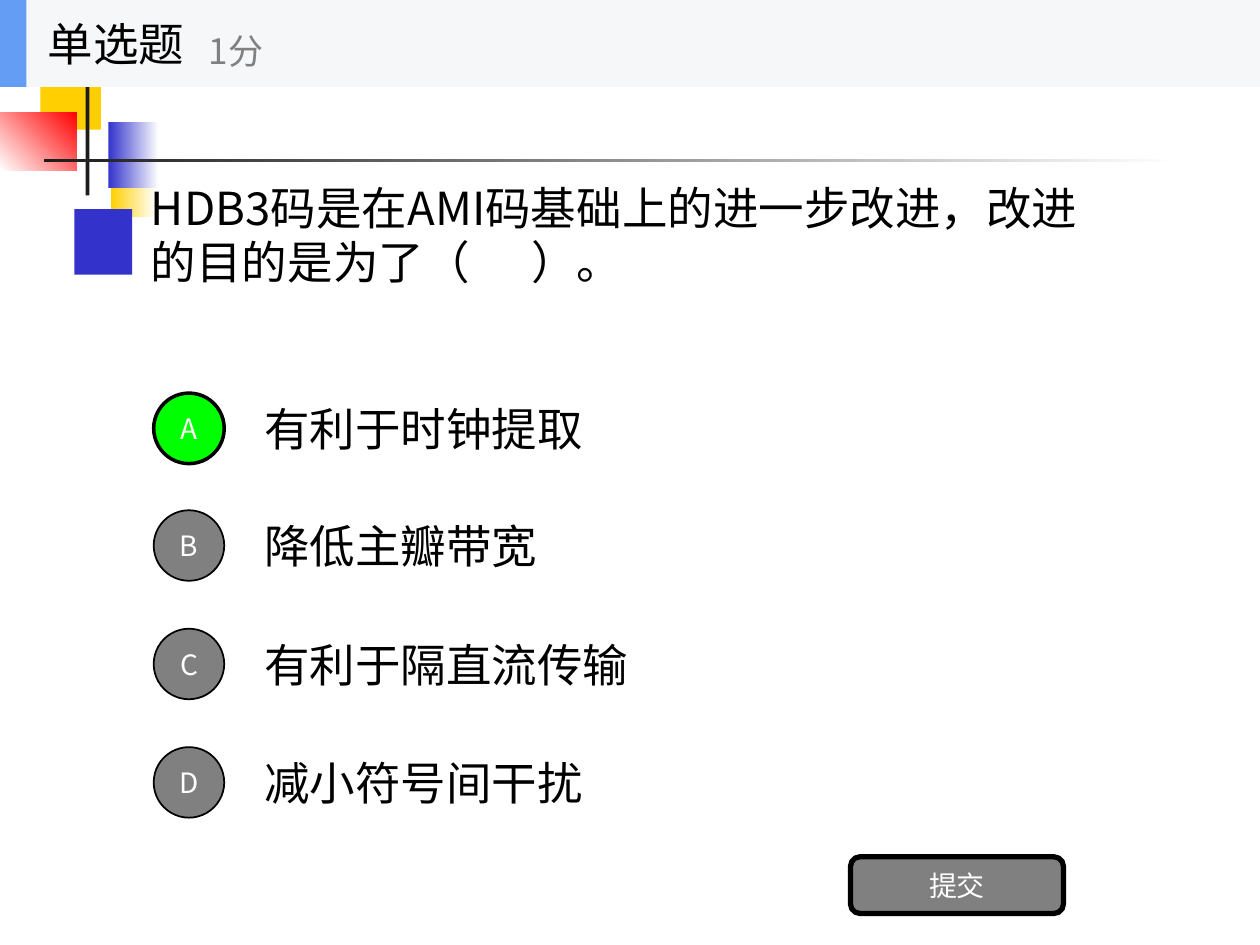
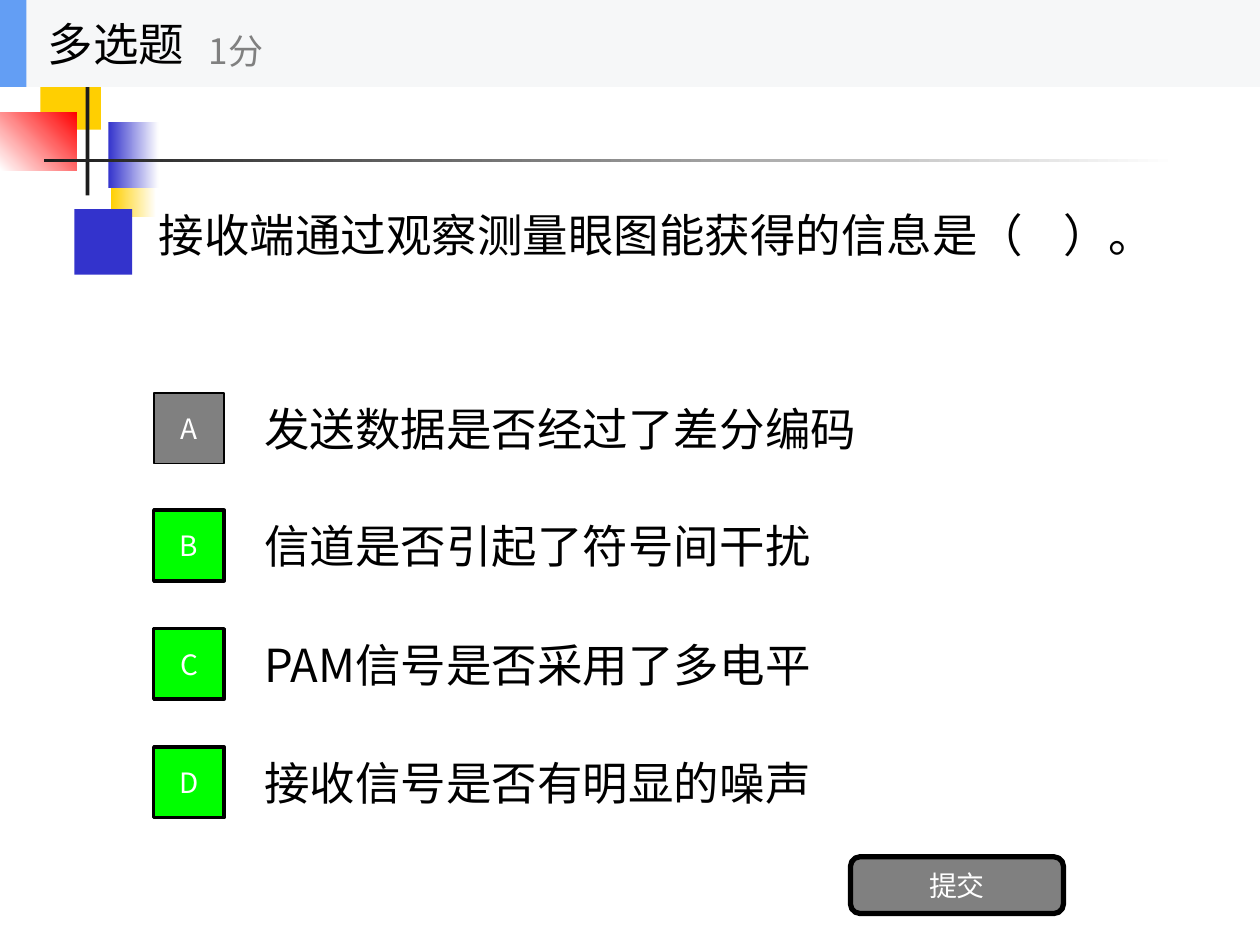
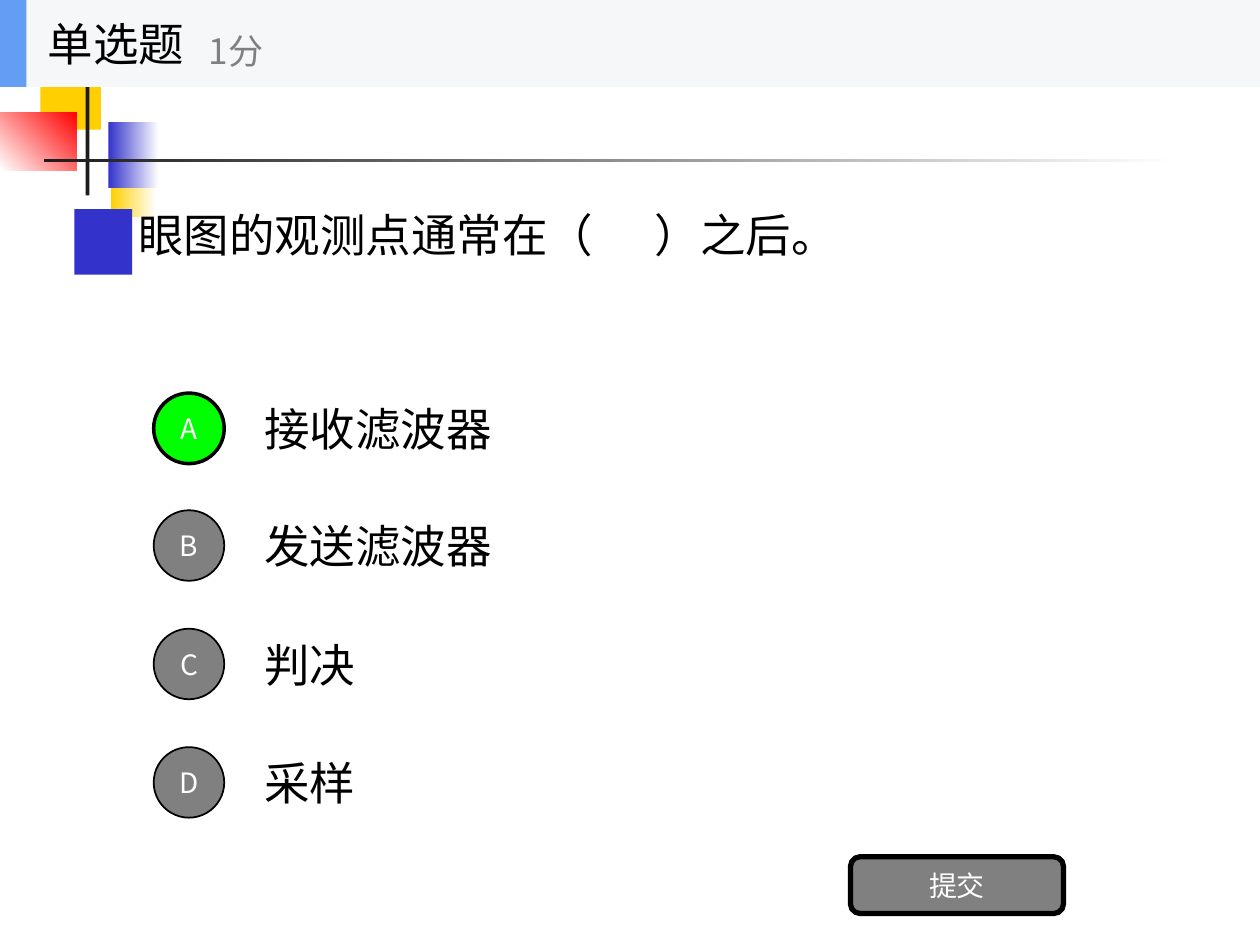
from dataclasses import dataclass

from lxml import etree
from pptx import Presentation
from pptx import util as u
from pptx.dml.color import RGBColor
from pptx.enum import shapes, text
from pptx.oxml import ns

# Scale: 100 px to the inch
PX = 9144
SLIDE_W, SLIDE_H = 1000, 750

# Colours
BLACK = RGBColor(0x00, 0x00, 0x00)
WHITE = RGBColor(0xFF, 0xFF, 0xFF)
GREY = RGBColor(0x80, 0x80, 0x80)
GREEN = RGBColor(0x00, 0xFF, 0x00)
YELLOW = RGBColor(0xFF, 0xCF, 0x01)
BLUE = RGBColor(0x33, 0x33, 0xCC)
RED = RGBColor(0xFF, 0x00, 0x00)
INK = RGBColor(0x1C, 0x1C, 0x1C)
BAND = RGBColor(0xF6, 0xF7, 0xF8)
ACCENT = RGBColor(0x63, 0x9E, 0xF4)

FONT = "Noto Sans CJK SC"
RECT = shapes.MSO_SHAPE.RECTANGLE
OVAL = shapes.MSO_SHAPE.OVAL
ROUNDED = shapes.MSO_SHAPE.ROUNDED_RECTANGLE

BODY = {"size": u.Pt(26), "color": BLACK}
POINTS = {"size": u.Pt(20), "color": GREY}
LABEL = {"size": u.Pt(16), "color": WHITE}

# Option rows
ROW_TOP, ROW_H, BADGE = 305, 70, 56


@dataclass(frozen=True)
class Box:
    x: int
    y: int
    w: int
    h: int

    def emu(self) -> list[u.Emu]:
        return [u.Emu(v * PX) for v in (self.x, self.y, self.w, self.h)]


@dataclass(frozen=True)
class Block:
    box: Box
    color: RGBColor
    fade_to: RGBColor | None = None
    angle: int = 0


@dataclass(frozen=True)
class Question:
    kind: str
    badge: shapes.MSO_SHAPE
    box: Box
    stem: str
    blank_end: int  # tab stop closing the answer blank
    options: tuple[str, ...]
    answers: str


DECORATION = (
    Block(Box(88, 120, 36, 52), YELLOW, WHITE),
    Block(Box(59, 166, 46, 52), BLUE),
    Block(Box(32, 51, 48, 52), YELLOW),
    Block(Box(86, 97, 40, 52), BLUE, WHITE),
    Block(Box(0, 89, 61, 46), WHITE, RED, 45),
    Block(Box(68, 40, 3, 115), INK),
    Block(Box(35, 126, 900, 3), INK, WHITE),
)
HEADER = (
    Block(Box(0, 0, SLIDE_W, 69), BAND),
    Block(Box(0, 0, 21, 69), ACCENT),
)

QUESTIONS = (
    Question("单选题", OVAL, Box(110, 69, 790, 234),
             "HDB3码是在AMI码基础上的进一步改进，改进的目的是为了（\t）。", 302,
             ("有利于时钟提取", "降低主瓣带宽", "有利于隔直流传输", "减小符号间干扰"), "A"),
    Question("多选题", RECT, Box(116, 69, 812, 234),
             "接收端通过观察测量眼图能获得的信息是（\t）。", 718,
             ("发送数据是否经过了差分编码", "信道是否引起了符号间干扰",
              "PAM信号是否采用了多电平", "接收信号是否有明显的噪声"), "BCD"),
    Question("单选题", OVAL, Box(100, 69, 800, 234),
             "眼图的观测点通常在（\t）之后。", 410,
             ("接收滤波器", "发送滤波器", "判决", "采样"), "A"),
)


def write(sp, words: str, style: dict, align=text.PP_ALIGN.LEFT,
          wrap: bool = True, tab: int = 0) -> None:
    tf = sp.text_frame
    for name, value in {"word_wrap": wrap, "vertical_anchor": text.MSO_ANCHOR.MIDDLE}.items():
        setattr(tf, name, value)
    p = tf.paragraphs[0]
    p.alignment = align
    if tab:
        tabs = etree.SubElement(p._p.get_or_add_pPr(), ns.qn("a:tabLst"))
        etree.SubElement(tabs, ns.qn("a:tab"), pos=str(tab * PX), algn="l")
    r = p.add_run()
    r.text = words
    for name, value in {"name": FONT, "size": style["size"]}.items():
        setattr(r.font, name, value)
    r.font.color.rgb = style["color"]
    etree.SubElement(r._r.get_or_add_rPr(), ns.qn("a:ea"), typeface=FONT)


def add_text(s, box: Box, words: str, style: dict, **layout) -> None:
    write(s.shapes.add_textbox(*box.emu()), words, style, **layout)


def add_block(s, block: Block) -> None:
    sp = s.shapes.add_shape(RECT, *block.box.emu())
    sp.shadow.inherit = False
    sp.line.fill.background()
    if block.fade_to is None:
        sp.fill.solid()
        sp.fill.fore_color.rgb = block.color
        return
    sp.fill.gradient()
    sp.fill.gradient_angle = block.angle
    for stop, color in zip(sp.fill.gradient_stops, (block.color, block.fade_to)):
        stop.color.rgb = color


def add_button(s, kind, box: Box, words: str, fill: RGBColor, line: int) -> None:
    sp = s.shapes.add_shape(kind, *box.emu())
    sp.shadow.inherit = False
    sp.fill.solid()
    sp.fill.fore_color.rgb = fill
    sp.line.color.rgb = BLACK
    sp.line.width = u.Pt(line)
    write(sp, words, LABEL, align=text.PP_ALIGN.CENTER)


def add_question(prs, q: Question) -> None:
    s = prs.slides.add_slide(prs.slide_layouts[6])
    for block in DECORATION:
        add_block(s, block)

    # Stem, options and their badges
    add_text(s, q.box, q.stem, BODY, tab=q.blank_end)
    for i, (letter, option) in enumerate(zip("ABCD", q.options)):
        top = ROW_TOP + i * 281 // 3
        add_text(s, Box(200, top, 700, ROW_H), option, BODY)
        fill, line = (GREEN, 2) if letter in q.answers else (GREY, 1)
        badge_box = Box(122, top + (ROW_H - BADGE) // 2, BADGE, BADGE)
        add_button(s, q.badge, badge_box, letter, fill, line)
    add_button(s, ROUNDED, Box(675, 680, 169, 45), "提交", GREY, 3)

    # Header band
    for block in HEADER:
        add_block(s, block)
    add_text(s, Box(28, 0, 208, 69), q.kind, BODY, wrap=False)
    add_text(s, Box(156, 12, 250, 56), "1分", POINTS, wrap=False)


def main() -> None:
    prs = Presentation()
    prs.slide_width, prs.slide_height = u.Emu(SLIDE_W * PX), u.Emu(SLIDE_H * PX)
    for q in QUESTIONS:
        add_question(prs, q)
    prs.save("out.pptx")


if __name__ == "__main__":
    main()
